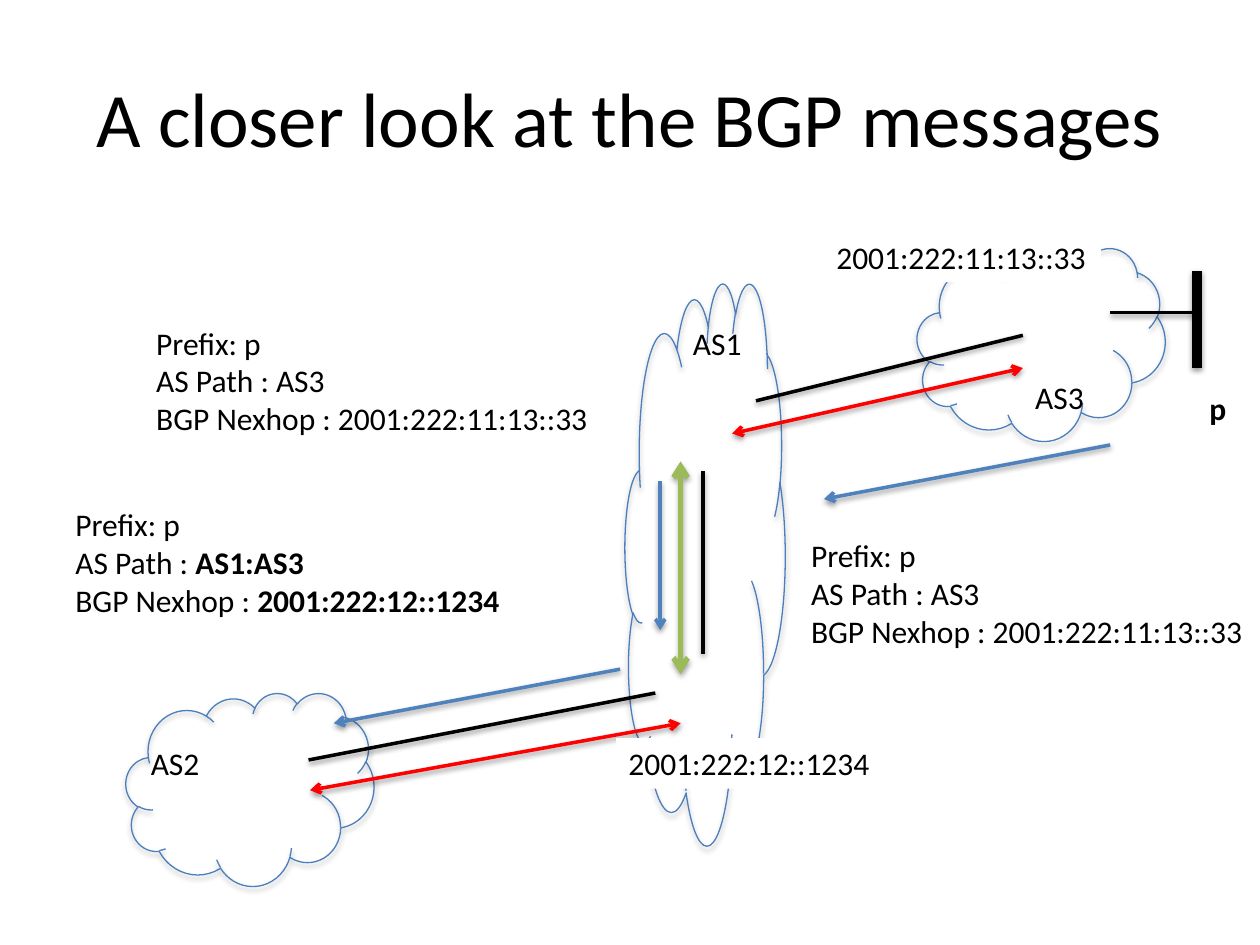
import dataclasses

import lxml.etree
import pptx
import pptx.dml.color
import pptx.enum.shapes
import pptx.enum.text
import pptx.oxml.ns
import pptx.util

Cm = pptx.util.Cm
Pt = pptx.util.Pt
qn = pptx.oxml.ns.qn


@dataclasses.dataclass(frozen=True)
class Theme:
    font: str = "Calibri"
    title_size: int = 44
    body_size: int = 18
    text: str = "000000"
    white: str = "FFFFFF"
    outline: str = "4B7EBC"
    link: str = "000000"
    external_session: str = "FF0000"
    internal_session: str = "9BBB59"
    message: str = "4F81BD"


THEME = Theme()
LABEL_HEIGHT = 1.02
MESSAGE_HEIGHT = 2.57


def rgb(value):
    return pptx.dml.color.RGBColor.from_string(value)


def add_shadow(shape, opacity, distance):
    """Give the shape a soft shadow that falls straight down."""
    properties = shape._element.spPr
    effects = properties.find(qn("a:effectLst"))
    if effects is None:
        effects = lxml.etree.SubElement(properties, qn("a:effectLst"))
    shadow = lxml.etree.SubElement(
        effects, qn("a:outerShdw"), blurRad=str(Pt(3.1)), dist=str(Pt(distance)),
        dir="5400000", rotWithShape="0")
    color = lxml.etree.SubElement(shadow, qn("a:srgbClr"), val="000000")
    lxml.etree.SubElement(color, qn("a:alpha"), val=str(opacity * 1000))


def add_cloud(shapes, left, top, width=5, height=3.89):
    cloud = shapes.add_shape(pptx.enum.shapes.MSO_SHAPE.CLOUD,
                             Cm(left), Cm(top), Cm(width), Cm(height))
    cloud.fill.background()
    cloud.line.color.rgb = rgb(THEME.outline)
    cloud.line.width = Pt(0.75)
    cloud.shadow.inherit = False
    add_shadow(cloud, 35, 1.8)


def add_line(shapes, start, end, color=THEME.link, width=2, arrows=(),
             opacity=38, distance=1.6):
    """Draw a line; arrows names its pointed ends, headEnd being the start."""
    line = shapes.add_connector(pptx.enum.shapes.MSO_CONNECTOR.STRAIGHT,
                                *map(Cm, start + end))
    line.line.color.rgb = rgb(color)
    line.line.width = Pt(width)
    for arrow in arrows:
        lxml.etree.SubElement(line.line._get_or_add_ln(), qn("a:" + arrow), type="arrow")
    add_shadow(line, opacity, distance)


def add_session(shapes, start, end, color=THEME.external_session, **style):
    add_line(shapes, start, end, color, arrows=("headEnd", "tailEnd"), **style)


def fill_text(box, lines):
    """Write lines, each a list of (text, bold) spans."""
    frame = box.text_frame
    frame.word_wrap = False
    frame.auto_size = pptx.enum.text.MSO_AUTO_SIZE.SHAPE_TO_FIT_TEXT
    for index, spans in enumerate(lines):
        para = frame.add_paragraph() if index else frame.paragraphs[0]
        para.alignment = pptx.enum.text.PP_ALIGN.LEFT
        para.font.name = THEME.font
        para.font.size = Pt(THEME.body_size)
        para.font.color.rgb = rgb(THEME.text)
        for text, bold in spans:
            span = para.add_run()
            span.text = text
            if bold:
                span.font.bold = True


def add_label(shapes, text, left, top, width=1.5, bold=False):
    box = shapes.add_textbox(Cm(left), Cm(top), Cm(width), Cm(LABEL_HEIGHT))
    fill_text(box, [[(text, bold)]])


def add_address(shapes, text, left, top, width):
    """Add an address on a white plate that hides the cloud behind it."""
    plate = shapes.add_shape(pptx.enum.shapes.MSO_SHAPE.RECTANGLE,
                             Cm(left), Cm(top), Cm(width), Cm(LABEL_HEIGHT))
    plate.shadow.inherit = False
    plate.fill.solid()
    plate.fill.fore_color.rgb = rgb(THEME.white)
    plate.line.fill.background()
    fill_text(plate, [[(text, False)]])


def add_message(shapes, start, end, left, top, width, as_path, next_hop, bold=False):
    """Group the arrow of a BGP message with the text it carries."""
    group = shapes.add_group_shape()
    add_line(group.shapes, start, end, THEME.message, arrows=("tailEnd",))
    box = group.shapes.add_textbox(Cm(left), Cm(top), Cm(width), Cm(MESSAGE_HEIGHT))
    fill_text(box, [
        [("Prefix: p", False)],
        [("AS Path : ", False), (as_path, bold)],
        [("BGP Nexhop : ", False), (next_hop, bold)],
    ])


def add_title(shapes, text):
    box = shapes.add_textbox(Cm(1.27), Cm(0.76), Cm(22.86), Cm(3.18))
    frame = box.text_frame
    frame.word_wrap = True
    frame.vertical_anchor = pptx.enum.text.MSO_ANCHOR.MIDDLE
    para = frame.paragraphs[0]
    para.text = text
    para.alignment = pptx.enum.text.PP_ALIGN.CENTER
    para.font.name = THEME.font
    para.font.size = Pt(THEME.title_size)
    para.font.color.rgb = rgb(THEME.text)


def main():
    deck = pptx.Presentation()
    deck.slide_width, deck.slide_height = Cm(25.4), Cm(19.05)
    page = deck.slides.add_slide(deck.slide_layouts[6])
    shapes = page.shapes
    as3_address = "2001:222:11:13::33"
    as1_address = "2001:222:12::1234"

    add_title(shapes, "A closer look at the BGP messages")
    add_cloud(shapes, 12.6, 5.69, 3.23, 11.33)
    add_cloud(shapes, 2.54, 13.97)
    add_cloud(shapes, 18.49, 5)

    add_session(shapes, (6.25, 15.93), (13.72, 14.58))
    add_line(shapes, (14.17, 13.18), (14.17, 9.5))
    add_session(shapes, (14.76, 8.74), (20.62, 7.42))
    add_session(shapes, (13.72, 9.3), (13.72, 13.59), THEME.internal_session,
                width=3, opacity=35, distance=1.8)

    add_label(shapes, "AS1", 13.72, 6.4)
    add_label(shapes, "AS2", 2.79, 14.88)
    add_address(shapes, as3_address, 16.61, 4.67, 5.59)

    add_line(shapes, (6.22, 15.32), (13.21, 13.97))
    add_line(shapes, (15.24, 8.08), (20.62, 6.76))
    add_line(shapes, (24.13, 5.46), (24.13, 7.42), width=6)
    add_line(shapes, (24.13, 6.3), (22.38, 6.3))

    add_message(shapes, (22.38, 8.97), (16.61, 10.06), 16.1, 10.69, 9.37,
                "AS3", as3_address)
    add_label(shapes, "AS3", 20.62, 7.49)
    add_message(shapes, (13.31, 9.7), (13.31, 12.7), 2.9, 6.4, 9.37,
                "AS3", as3_address)
    add_message(shapes, (12.5, 13.49), (6.73, 14.58), 1.27, 10.06, 9.14,
                "AS1:AS3", as1_address, bold=True)
    add_address(shapes, as1_address, 12.42, 14.88, 5.44)
    add_label(shapes, "p", 24.13, 7.72, 0.84, bold=True)

    deck.save("out.pptx")


if __name__ == "__main__":
    main()
